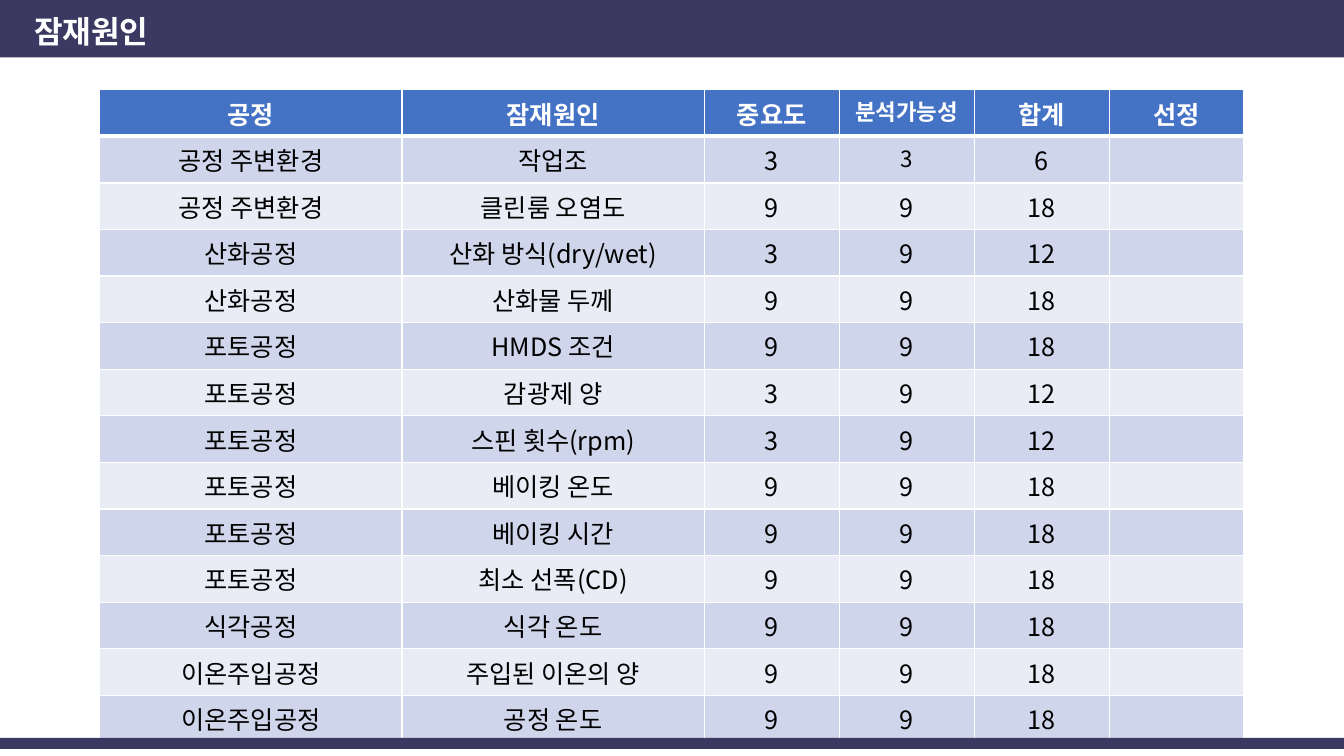
from lxml.etree import SubElement
from pptx import Presentation
from pptx.dml.color import RGBColor
from pptx.enum.shapes import MSO_SHAPE as Preset
from pptx.enum.text import MSO_ANCHOR as Anchor, MSO_AUTO_SIZE as AutoSize, PP_ALIGN as Align
from pptx.oxml.ns import qn
from pptx.util import Inches, Pt

WIDTH, HEIGHT = Inches(13.33), Inches(7.5)
FONT = "Noto Sans CJK KR"
NAVY = RGBColor(0x3B, 0x38, 0x61)
BLUE = RGBColor(0x44, 0x72, 0xC4)
STRIPES = RGBColor(0xCF, 0xD5, 0xEA), RGBColor(0xE9, 0xEB, 0xF5)
WHITE = RGBColor(0xFF, 0xFF, 0xFF)
BLACK = RGBColor(0, 0, 0)

COLUMNS = 3, 3, 1.34, 1.34, 1.34, 1.34
ROW_HEIGHT = Inches(0.42)
SMALL_CELLS = (0, 3), (1, 3)
HEADINGS = "공정", "잠재원인", "중요도", "분석가능성", "합계", "선정"
CAUSES = [
    ("공정 주변환경", "작업조", 3, 3),
    ("공정 주변환경", "클린룸 오염도", 9, 9),
    ("산화공정", "산화 방식(dry/wet)", 3, 9),
    ("산화공정", "산화물 두께", 9, 9),
    ("포토공정", "HMDS 조건", 9, 9),
    ("포토공정", "감광제 양", 3, 9),
    ("포토공정", "스핀 횟수(rpm)", 3, 9),
    ("포토공정", "베이킹 온도", 9, 9),
    ("포토공정", "베이킹 시간", 9, 9),
    ("포토공정", "최소 선폭(CD)", 9, 9),
    ("식각공정", "식각 온도", 9, 9),
    ("이온주입공정", "주입된 이온의 양", 9, 9),
    ("이온주입공정", "공정 온도", 9, 9),
]


def apply(target, values):
    for name, value in values.items():
        setattr(target, name, value)


def write(paragraph, text, align, size, color, bold):
    paragraph.alignment = align
    run = paragraph.add_run()
    run.text = text
    apply(run.font, {"size": Pt(size), "bold": bold, "name": FONT})
    run.font.color.rgb = color
    SubElement(run.font._element, qn("a:ea"), typeface=FONT)


def border(cell, bottom=1, top=1):
    properties = cell._tc.get_or_add_tcPr()
    for side, points in (("L", 1), ("R", 1), ("T", top), ("B", bottom)):
        line = SubElement(properties, qn(f"a:ln{side}"), w=str(Pt(points)))
        fill = SubElement(line, qn("a:solidFill"))
        SubElement(fill, qn("a:srgbClr"), val=str(WHITE))


def add_band(slide, left, top, width, height):
    band = slide.shapes.add_shape(Preset.RECTANGLE, left, top, width, height)
    band.shadow.inherit = False
    band.fill.solid()
    band.fill.fore_color.rgb = NAVY
    band.line.fill.background()


def add_header(slide, left, top, width, height):
    add_band(slide, left, top, width, height)
    title = slide.shapes.title
    slide.shapes._spTree.append(title._element)
    apply(title, {
        "left": left + int(width * 0.018), "top": top + int(height * 0.28),
        "width": int(width * 0.895), "height": int(height * 0.67),
    })
    apply(title.text_frame, {
        "word_wrap": True, "auto_size": AutoSize.NONE, "vertical_anchor": Anchor.MIDDLE,
    })
    heading = title.text_frame.paragraphs[0]
    heading.line_spacing = 0.7
    write(heading, "잠재원인", Align.LEFT, 22.2, WHITE, True)


def add_cause_table(slide, left, top, width):
    rows = [HEADINGS] + [
        (process, cause, importance, feasibility, importance + feasibility, "")
        for process, cause, importance, feasibility in CAUSES
    ]
    table = slide.shapes.add_table(
        len(rows), len(COLUMNS), left, top, width, ROW_HEIGHT * len(rows)).table
    for column, share in zip(table.columns, COLUMNS):
        column.width = int(width * share / sum(COLUMNS))
    for r, values in enumerate(rows):
        table.rows[r].height = ROW_HEIGHT
        is_heading = r == 0
        for c, value in enumerate(values):
            cell = table.cell(r, c)
            border(cell, bottom=3 if is_heading else 1, top=3 if r == 1 else 1)
            cell.fill.solid()
            cell.fill.fore_color.rgb = BLUE if is_heading else STRIPES[(r - 1) % 2]
            if value != "":
                write(cell.text_frame.paragraphs[0], str(value), Align.CENTER,
                      16 if (r, c) in SMALL_CELLS else 18,
                      WHITE if is_heading else BLACK, is_heading)


def main():
    deck = Presentation()
    apply(deck, {"slide_width": WIDTH, "slide_height": HEIGHT})
    slide = deck.slides.add_slide(deck.slide_layouts[5])
    add_cause_table(slide, Inches(0.99), Inches(0.89), Inches(11.35))
    add_header(slide, 0, 0, WIDTH, Inches(0.57))
    add_band(slide, 0, Inches(7.32), WIDTH, Inches(0.11))
    deck.save("out.pptx")


if __name__ == "__main__":
    main()
